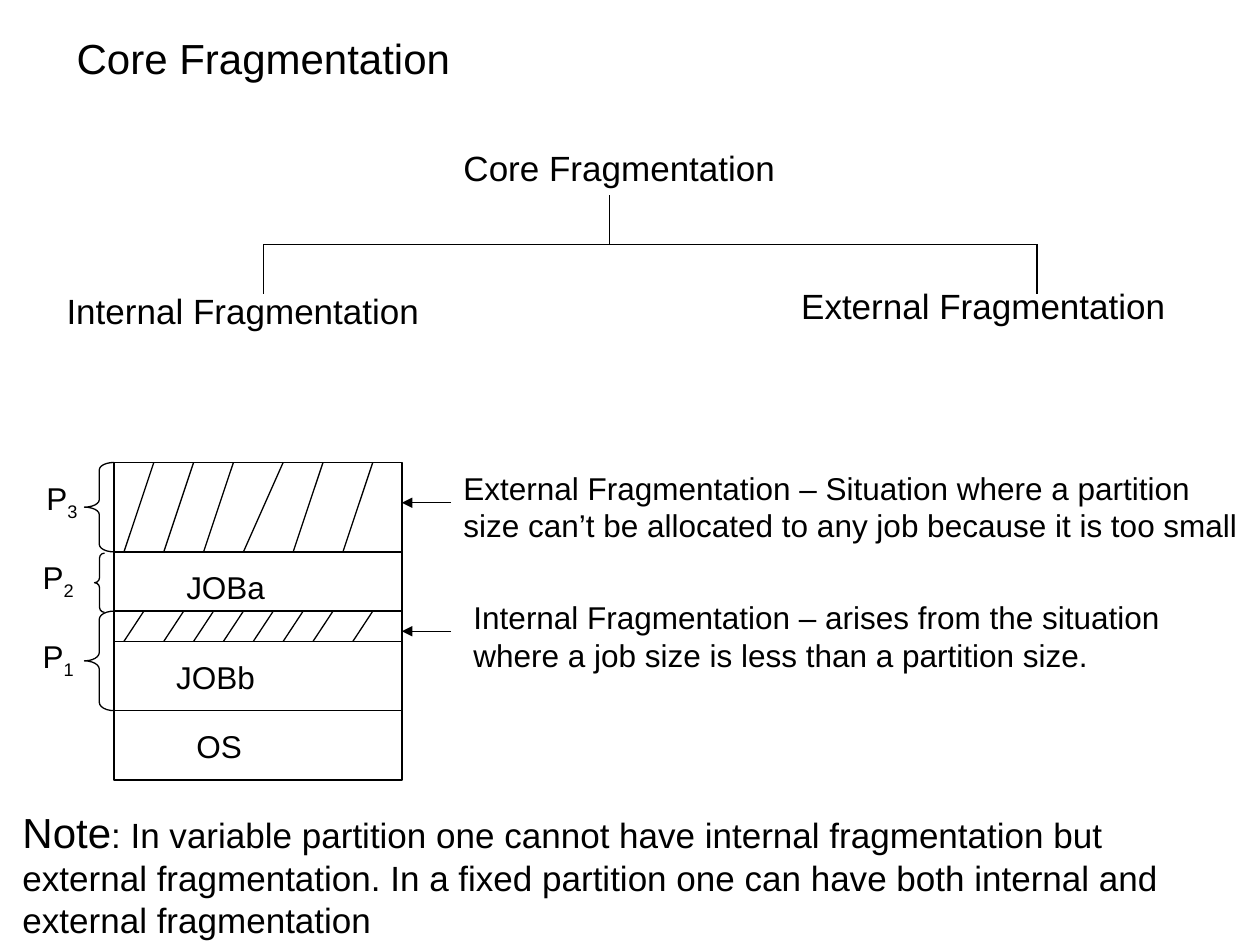
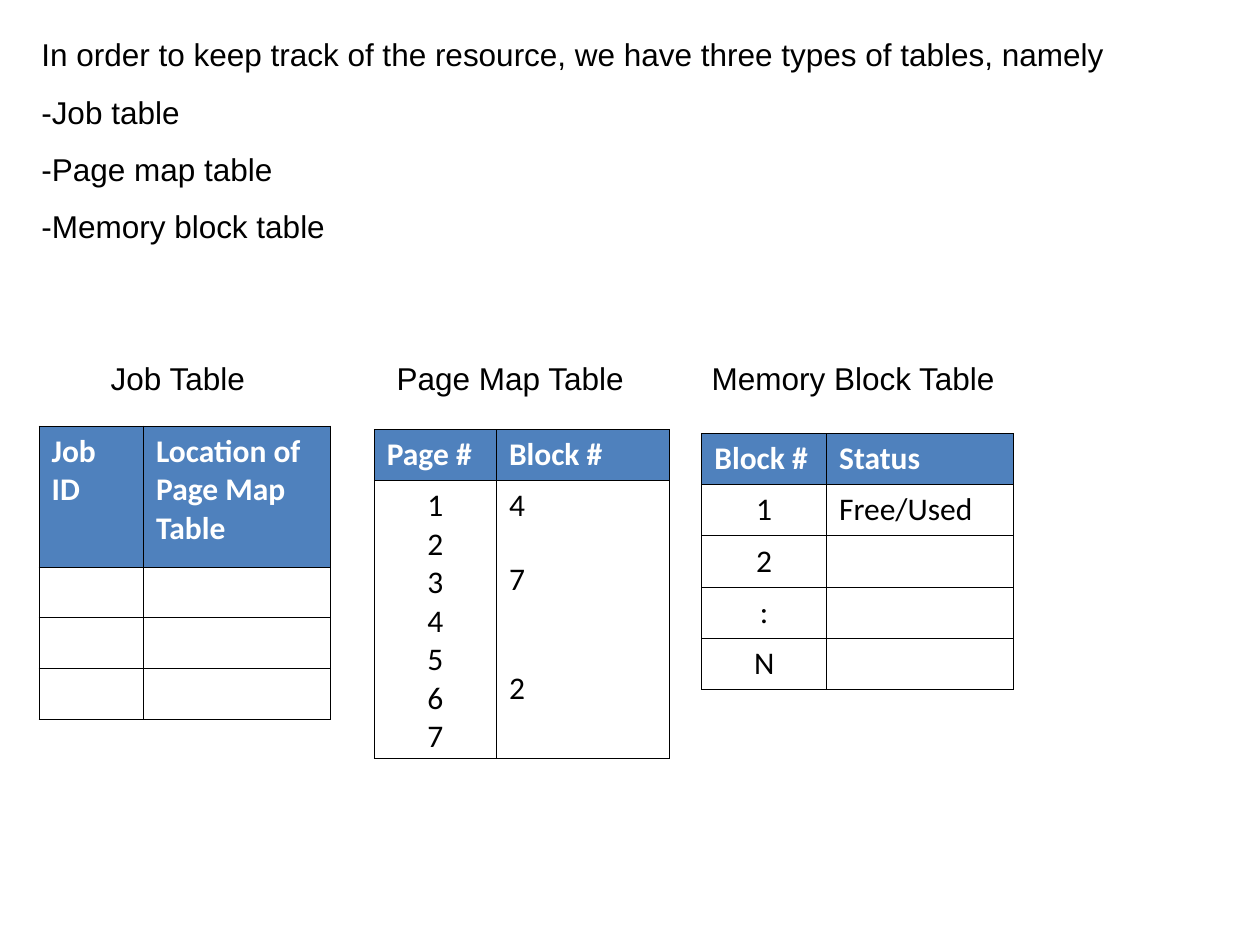
from dataclasses import dataclass
from typing import Any

from lxml import etree
from pptx import Presentation
from pptx.dml.color import RGBColor
from pptx.enum.dml import MSO_LINE
from pptx.enum.shapes import MSO_CONNECTOR, MSO_SHAPE
from pptx.enum.text import MSO_AUTO_SIZE, PP_ALIGN
from pptx.oxml.ns import qn
from pptx.util import Inches, Length, Pt

STRAIGHT = MSO_CONNECTOR.STRAIGHT
RECTANGLE, LEFT_BRACE = MSO_SHAPE.RECTANGLE, MSO_SHAPE.LEFT_BRACE
GROW = MSO_AUTO_SIZE.SHAPE_TO_FIT_TEXT
SOLID = MSO_LINE.SOLID
LEFT, CENTER = PP_ALIGN.LEFT, PP_ALIGN.CENTER

# The slide is a grid of square cells, and every length below counts cells.
COLUMNS, ROWS = 100, 75
CELL = Inches(10) / COLUMNS


@dataclass(frozen=True)
class Theme:
    ink: RGBColor = RGBColor(0x00, 0x00, 0x00)
    paper: RGBColor = RGBColor(0xFF, 0xFF, 0xFF)
    header: RGBColor = RGBColor(0x4F, 0x81, 0xBD)
    text_font: str = "Arial"
    table_font: str = "Calibri"
    title_size: float = 24
    heading_size: float = 20
    body_size: float = 18
    paragraph_gap: float = 11.2
    line_width: float = 0.75
    border_width: float = 0.45


THEME = Theme()


@dataclass(frozen=True)
class Run:
    text: str
    size: float = THEME.body_size
    subscript: bool = False


@dataclass(frozen=True)
class Label:
    """A text box; each entry of paragraphs is a tuple of runs."""
    left: float
    top: float
    width: float
    height: float
    paragraphs: tuple[tuple[Run, ...], ...]


@dataclass(frozen=True)
class Line:
    x1: float
    y1: float
    x2: float
    y2: float
    arrow: bool = False


@dataclass(frozen=True)
class Entry:
    """One paragraph of a table cell, with the points left free above it."""
    text: str
    space_before: float = 0


@dataclass(frozen=True)
class Grid:
    """A table; the first row is the header, and a cell holds entries."""
    caption: Label
    left: float
    top: float
    widths: tuple[float, ...]
    heights: tuple[float, ...]
    cells: tuple[tuple[tuple[Entry, ...], ...], ...]


def cells(count: float) -> Length:
    return Length(round(count * CELL))


def box(*lengths: float) -> list[Length]:
    return [cells(length) for length in lengths]


def apply_format(target: Any, values: dict[str, Any]) -> None:
    for name, value in values.items():
        setattr(target, name, value)


def label(left: float, top: float, width: float, height: float,
          text: str, size: float = THEME.body_size) -> Label:
    return Label(left, top, width, height, ((Run(text, size),),))


def draw_label(slide: Any, item: Label) -> None:
    shape = slide.shapes.add_textbox(*box(item.left, item.top, item.width, item.height))
    frame = shape.text_frame
    apply_format(frame, {"word_wrap": True, "auto_size": GROW})
    for index, runs in enumerate(item.paragraphs):
        paragraph = frame.add_paragraph() if index else frame.paragraphs[0]
        if index:
            paragraph.space_before = Pt(THEME.paragraph_gap)
        for part in runs:
            run = paragraph.add_run()
            run.text = part.text
            apply_format(run.font, {"name": THEME.text_font, "size": Pt(part.size)})
            run.font.color.rgb = THEME.ink
            if part.subscript:
                run.font._element.set("baseline", "-25000")


def draw_line(slide: Any, item: Line) -> None:
    connector = slide.shapes.add_connector(STRAIGHT, *box(item.x1, item.y1, item.x2, item.y2))
    connector.line.width = Pt(THEME.line_width)
    connector.line.color.rgb = THEME.ink
    properties = connector._element.spPr
    if item.arrow:
        etree.SubElement(properties.find(qn("a:ln")), qn("a:tailEnd"), type="triangle")
    etree.SubElement(properties, qn("a:effectLst"))


def draw_outline(slide: Any, kind: Any, left: float, top: float,
                 width: float, height: float) -> Any:
    shape = slide.shapes.add_shape(kind, *box(left, top, width, height))
    shape.shadow.inherit = False
    shape.line.width = Pt(THEME.line_width)
    shape.line.color.rgb = THEME.ink
    shape.fill.background()
    return shape


def draw_brace(slide: Any, left: float, top: float, width: float, height: float) -> None:
    brace = draw_outline(slide, LEFT_BRACE, left, top, width, height)
    brace.adjustments[0] = height / 12 / width


def add_borders(cell: Any) -> None:
    properties = cell._tc.get_or_add_tcPr()
    for side in ("a:lnL", "a:lnR", "a:lnT", "a:lnB"):
        border = etree.SubElement(properties, qn(side), w=str(Pt(THEME.border_width)))
        fill = etree.SubElement(border, qn("a:solidFill"))
        etree.SubElement(fill, qn("a:srgbClr"), val=str(THEME.ink))
        etree.SubElement(border, qn("a:prstDash"), val="solid")


def fill_cell(cell: Any, entries: tuple[Entry, ...], is_header: bool, align: Any) -> None:
    add_borders(cell)
    cell.fill.solid()
    cell.fill.fore_color.rgb = THEME.header if is_header else THEME.paper
    for index, entry in enumerate(entries):
        frame = cell.text_frame
        paragraph = frame.add_paragraph() if index else frame.paragraphs[0]
        paragraph.text = entry.text
        paragraph.alignment = align
        if entry.space_before:
            paragraph.space_before = Pt(entry.space_before)
        apply_format(paragraph.font, {"name": THEME.table_font, "bold": is_header,
                                      "size": Pt(THEME.body_size)})
        paragraph.font.color.rgb = THEME.paper if is_header else THEME.ink


def draw_grid(slide: Any, grid: Grid) -> None:
    draw_label(slide, grid.caption)
    table = slide.shapes.add_table(
        len(grid.heights), len(grid.widths),
        *box(grid.left, grid.top, sum(grid.widths), sum(grid.heights))).table
    apply_format(table, {"first_row": False, "horz_banding": False})
    for column, width in zip(table.columns, grid.widths):
        column.width = cells(width)
    for row, height in zip(table.rows, grid.heights):
        row.height = cells(height)
    for row_index, row_cells in enumerate(grid.cells):
        for column_index, entries in enumerate(row_cells):
            is_header = row_index == 0
            align = LEFT if is_header or column_index else CENTER
            fill_cell(table.cell(row_index, column_index), entries, is_header, align)


def text_rows(*rows: tuple[str, ...]) -> tuple[tuple[tuple[Entry, ...], ...], ...]:
    return tuple(tuple((Entry(text),) for text in row) for row in rows)


TREE_BAR, TREE_DROP = 19.4, 3.9
TREE_LEFT, TREE_STEM, TREE_RIGHT = 20.9, 48.4, 82.3
TREE = (
    Line(TREE_LEFT, TREE_BAR, TREE_RIGHT, TREE_BAR),
    Line(TREE_STEM, TREE_BAR - TREE_DROP, TREE_STEM, TREE_BAR),
    *(Line(x, TREE_BAR, x, TREE_BAR + TREE_DROP) for x in (TREE_LEFT, TREE_RIGHT)),
)

MEMORY_LEFT, MEMORY_RIGHT = 9.06, 31.9
MEMORY_TOP, MEMORY_BOTTOM = 36.7, 61.9
P3_END, P2_END, WASTE_END, P1_END = 43.8, 48.5, 50.9, 56.4
HATCH_START, HATCH_STEP = 9.84, 0.79
# Hatch feet and heads count hatch steps from the start.
P3_HATCHES = ((0, 3), (4, 7), (8, 11), (12, 16), (17, 20), (22, 25))
WASTE_HATCHES = tuple((foot, foot + 2) for foot in (0, 4, 7, 10, 13, 16, 19, 23))

BRACES = (
    (6.7, MEMORY_TOP, 2.36, P3_END - MEMORY_TOP),
    (7.5, 43.9, 0.8, 4.7),
    (6.7, P2_END, 2.36, P1_END - P2_END),
)
PARTITIONS = (("1", 2.4, 50.1), ("2", 2.4, 43.8), ("3", 2.7, 37.5))
CALLOUT_ARROWS = (39.9, 50.1)

FRAGMENTATION_LABELS = (
    label(5.1, 2.1, 34.6, 5, "Core Fragmentation", THEME.title_size),
    label(35.8, 11.1, 29.1, 4.4, "Core Fragmentation", THEME.heading_size),
    label(4.3, 22.5, 30.7, 4.4, "Internal Fragmentation", THEME.heading_size),
    label(62.6, 22.1, 33.1, 4.4, "External Fragmentation", THEME.heading_size),
    label(13.8, 44.6, 10.2, 4, "JOBa"),
    label(13, 51.7, 10.2, 4, "JOBb"),
    label(14.6, 57.2, 7.9, 4, "OS"),
    *(Label(left, top, 5.9, 4.4, ((Run("P"), Run(number, subscript=True)),))
      for number, left, top in PARTITIONS),
    label(35.8, 36.7, 64.2, 7, "External Fragmentation – Situation where a partition "
          "size can’t be allocated to any job because it is too small"),
    label(36.6, 47, 61.4, 7, "Internal Fragmentation – arises from the situation "
          "where a job size is less than a partition size."),
    Label(0.8, 63.5, 96.5, 11.7, ((
        Run("Note", THEME.title_size),
        Run(": In variable partition one cannot have internal fragmentation but external "
            "fragmentation. In a fixed partition one can have both internal and external "
            "fragmentation", THEME.heading_size)),)),
)

INTRODUCTION = Label(2.3, 2.3, 93, 17.7, tuple((Run(text),) for text in (
    "In order to keep track of the resource, we have three types of tables, namely",
    "-Job table", "-Page map table", "-Memory block table")))

CAPTION_TOP, CAPTION_HEIGHT = 28, 4
GRIDS = (
    Grid(label(7.8, CAPTION_TOP, 13.3, CAPTION_HEIGHT, "Job Table"),
         3.1, 33.8, (8.3, 14.8), (11.2, 4.03, 4.03, 4.03),
         text_rows(("Job ID", "Location of Page Map Table"), *[("", "")] * 3)),
    Grid(label(30.5, CAPTION_TOP, 21.9, CAPTION_HEIGHT, "Page Map Table"),
         29.7, 34.1, (9.7, 13.75), (4.04, 22.05),
         (*text_rows(("Page #", "Block #")),
          (tuple(Entry(str(page)) for page in range(1, 8)),
           (Entry("4"), Entry("7", 20.3), Entry("2", 40.3))))),
    Grid(label(55.5, CAPTION_TOP, 25, CAPTION_HEIGHT, "Memory Block Table"),
         55.7, 34.4, (9.9, 14.8), (4.06,) * 5,
         text_rows(("Block #", "Status"), ("1", "Free/Used"),
                   ("2", ""), (":", ""), ("N", ""))),
)


def draw_hatches(slide: Any, hatches: tuple[tuple[int, int], ...],
                 top: float, bottom: float) -> None:
    for foot, head in hatches:
        draw_line(slide, Line(HATCH_START + head * HATCH_STEP, top,
                              HATCH_START + foot * HATCH_STEP, bottom))


def draw_memory(slide: Any) -> None:
    memory = draw_outline(slide, RECTANGLE, MEMORY_LEFT, MEMORY_TOP,
                          MEMORY_RIGHT - MEMORY_LEFT, MEMORY_BOTTOM - MEMORY_TOP)
    memory.fill.solid()
    memory.fill.fore_color.rgb = THEME.paper
    for y in (P3_END, P2_END, WASTE_END, P1_END):
        draw_line(slide, Line(MEMORY_LEFT, y, MEMORY_RIGHT, y))
    draw_hatches(slide, P3_HATCHES, MEMORY_TOP, P3_END)
    draw_hatches(slide, WASTE_HATCHES, P2_END, WASTE_END)
    for brace in BRACES:
        draw_brace(slide, *brace)
    for y in CALLOUT_ARROWS:
        draw_line(slide, Line(35.8, y, MEMORY_RIGHT, y, arrow=True))


def build_fragmentation_slide(slide: Any) -> None:
    for line in TREE:
        draw_line(slide, line)
    draw_memory(slide)
    for item in FRAGMENTATION_LABELS:
        draw_label(slide, item)


def build_tables_slide(slide: Any) -> None:
    for grid in GRIDS:
        draw_grid(slide, grid)
    draw_label(slide, INTRODUCTION)


def main() -> None:
    presentation = Presentation()
    apply_format(presentation, {"slide_width": cells(COLUMNS), "slide_height": cells(ROWS)})
    blank = presentation.slide_layouts[6]
    for build in (build_fragmentation_slide, build_tables_slide):
        build(presentation.slides.add_slide(blank))
    presentation.save("out.pptx")


if __name__ == "__main__":
    main()
